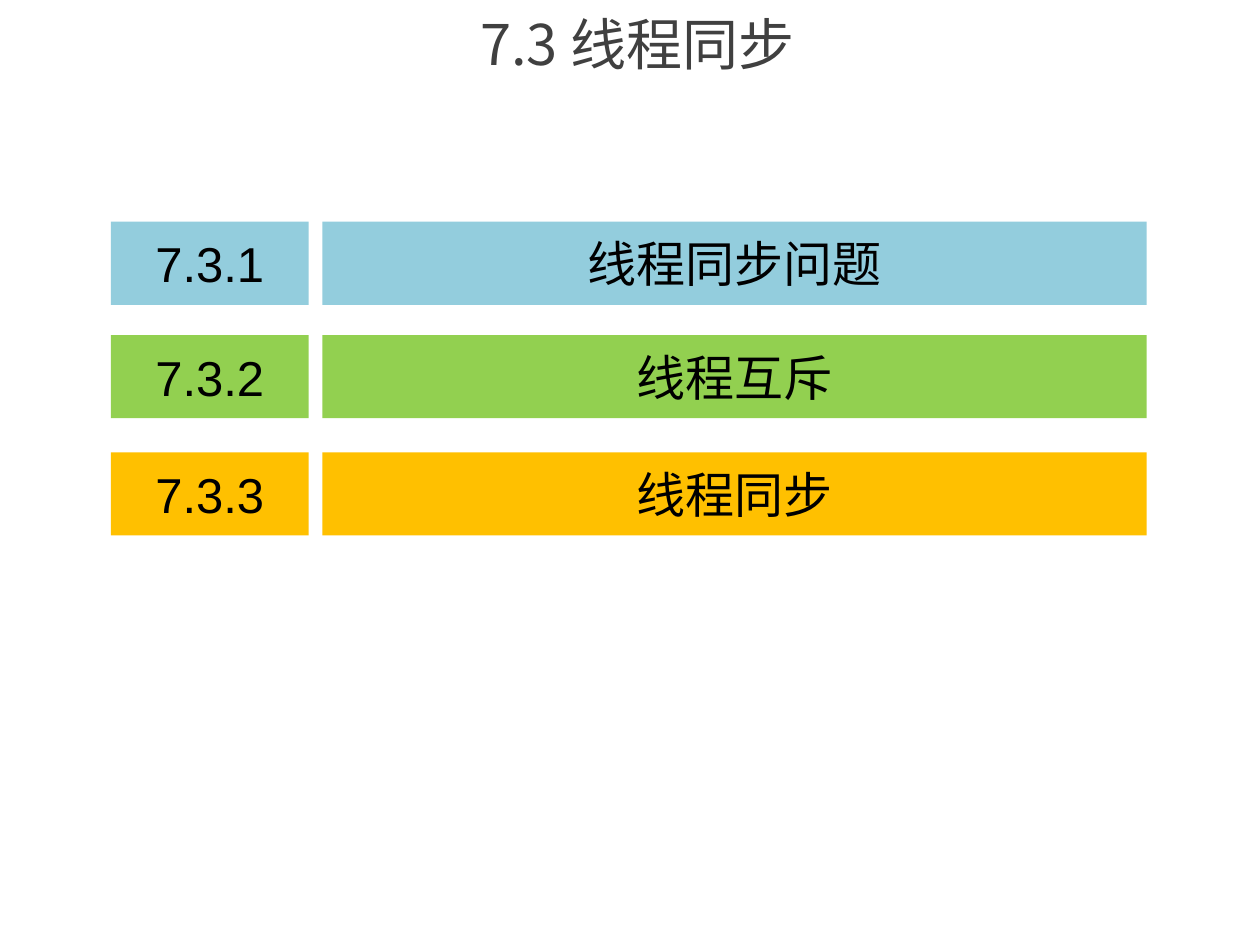
from lxml import etree
from pptx import Presentation
from pptx import util as u
from pptx.dml.color import RGBColor
from pptx.enum import shapes, text
from pptx.oxml.ns import qn

BLUE = RGBColor(0x93, 0xCD, 0xDD)
GREEN = RGBColor(0x92, 0xD0, 0x50)
AMBER = RGBColor(0xFF, 0xC0, 0x00)
GREY = RGBColor(0x40, 0x40, 0x40)
BLACK = RGBColor(0, 0, 0)
LATIN, CHINESE = "Arial", "Noto Sans CJK SC"

# Section number, name, colour and top edge
SECTIONS = [
    ("7.3.1", "线程同步问题", BLUE, 1.76),
    ("7.3.2", "线程互斥", GREEN, 2.66),
    ("7.3.3", "线程同步", AMBER, 3.59),
]
ROW_HEIGHT = 0.66
NUMBER_LEFT, NUMBER_WIDTH = 0.88, 1.57
NAME_LEFT, NAME_WIDTH = 2.56, 6.54


class SlideBuilder:
    """Holds the text styles and the current slide."""

    TITLE = {"name": CHINESE, "size": u.Pt(32), "bold": False}
    NUMBER = {"name": LATIN, "size": u.Pt(28)}
    NAME = {"name": CHINESE, "size": u.Pt(28)}

    def __init__(self, page):
        self.page = page

    def add_text(self, shape, words, style, colour):
        frame = shape.text_frame
        layout = {"word_wrap": True, "vertical_anchor": text.MSO_ANCHOR.MIDDLE,
                  "auto_size": text.MSO_AUTO_SIZE.NONE}
        for key, value in layout.items():
            setattr(frame, key, value)
        para = frame.paragraphs[0]
        para.alignment = text.PP_ALIGN.CENTER
        span = para.add_run()
        span.text = words
        for key, value in style.items():
            setattr(span.font, key, value)
        span.font.color.rgb = colour
        # East Asian characters take their own typeface
        latin = span.font._element.find(qn("a:latin"))
        east_asian = etree.Element(qn("a:ea"), typeface=style["name"])
        latin.addnext(east_asian)
        return span

    def title(self, words, left, top, width, height):
        box = self.page.shapes.title
        place = {"left": left, "top": top, "width": width, "height": height}
        for key, value in place.items():
            setattr(box, key, u.Inches(value))
        span = self.add_text(box, words, self.TITLE, GREY)
        # Soft shadow behind the letters
        effects = etree.Element(qn("a:effectLst"))
        shadow = etree.SubElement(effects, qn("a:outerShdw"), blurRad="38100",
                                  dist="38100", dir="2700000", algn="tl")
        tone = etree.SubElement(shadow, qn("a:srgbClr"), val="000000")
        etree.SubElement(tone, qn("a:alpha"), val="43000")
        span.font._element.find(qn("a:solidFill")).addnext(effects)

    def bar(self, group, words, left, top, width, style, fill):
        box = group.shapes.add_shape(
            shapes.MSO_SHAPE.RECTANGLE,
            *(u.Inches(value) for value in (left, top, width, ROW_HEIGHT)))
        box.shadow.inherit = False
        box.fill.solid()
        box.fill.fore_color.rgb = fill
        box.line.fill.background()
        self.add_text(box, words, style, BLACK)

    def section(self, number, name, fill, top):
        group = self.page.shapes.add_group_shape()
        self.bar(group, name, NAME_LEFT, top, NAME_WIDTH, self.NAME, fill)
        self.bar(group, number, NUMBER_LEFT, top, NUMBER_WIDTH, self.NUMBER, fill)


def main():
    deck = Presentation()
    deck.slide_width, deck.slide_height = u.Inches(10), u.Inches(7.5)
    builder = SlideBuilder(deck.slides.add_slide(deck.slide_layouts[5]))

    # Heading
    builder.title("7.3 线程同步", 0.72, 0, 8.68, 0.68)

    # Section list
    for section in SECTIONS:
        builder.section(*section)

    deck.save("out.pptx")


if __name__ == "__main__":
    main()
